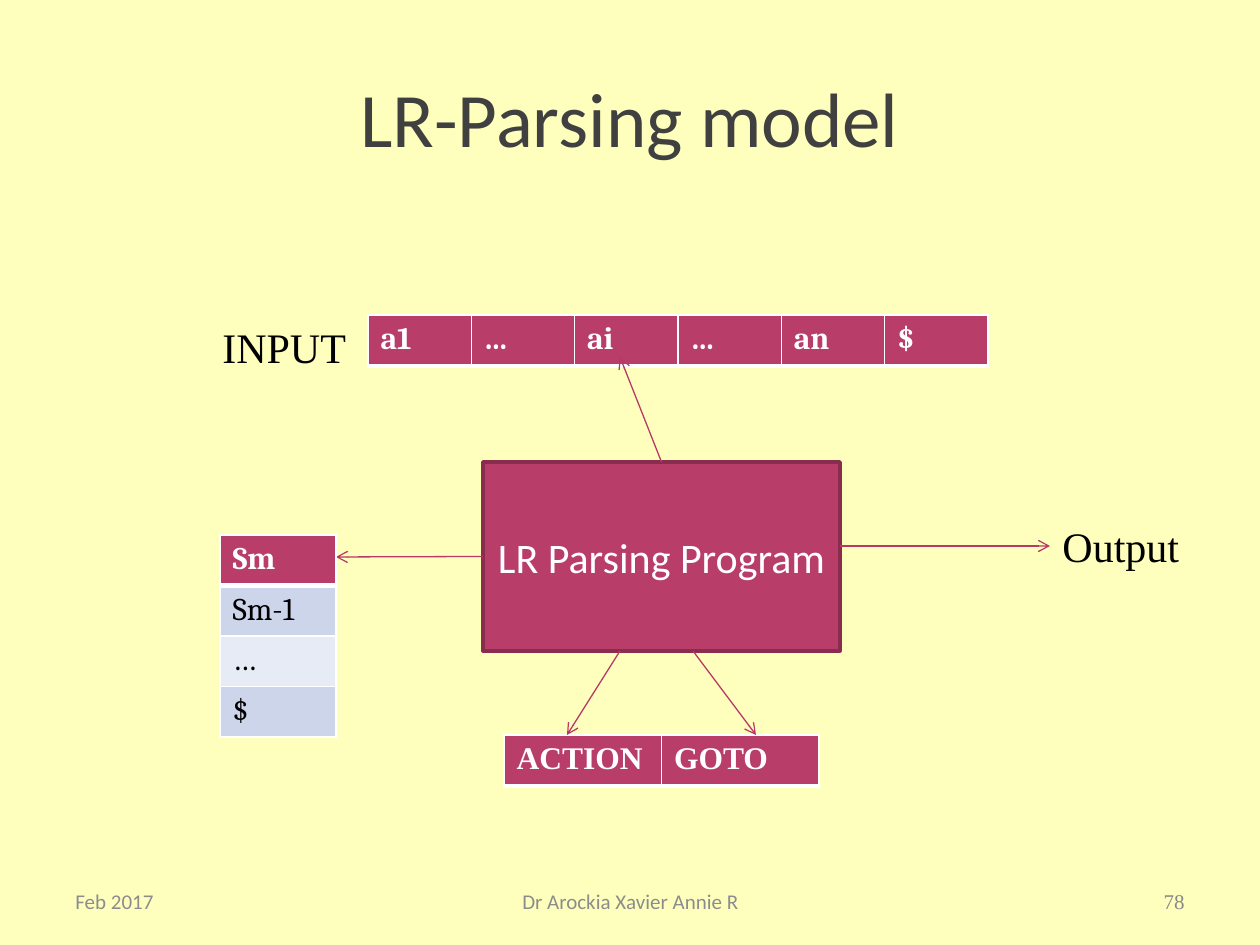
import pptx
import pptx.dml.color
import pptx.enum.shapes
import pptx.enum.text
import pptx.oxml
import pptx.oxml.ns
import pptx.util

RGB = pptx.dml.color.RGBColor
ALIGN = pptx.enum.text.PP_ALIGN
MIDDLE = pptx.enum.text.MSO_ANCHOR.MIDDLE
EMU_PER_PX = 914400 / 126

CREAM = RGB(0xFF, 0xFF, 0xBD)
TITLE_GRAY = RGB(0x40, 0x40, 0x40)
FOOTER_GRAY = RGB(0x8C, 0x8C, 0x8C)
NUMBER_GRAY = RGB(0x89, 0x89, 0x89)
BLACK = RGB(0, 0, 0)
WHITE = RGB(0xFF, 0xFF, 0xFF)
BERRY = RGB(0xB8, 0x3D, 0x68)
BERRY_DARK = RGB(0x88, 0x2D, 0x4D)
BERRY_LINE = RGB(0xB7, 0x39, 0x65)
BAND_DARK = RGB(0xCC, 0xD5, 0xEA)
BAND_LIGHT = RGB(0xE7, 0xEB, 0xF5)


def px(*values):
    """Turn pixel lengths into EMU."""
    return [pptx.util.Emu(round(v * EMU_PER_PX)) for v in values]


def write(tf, text, size, font, color, align=ALIGN.LEFT, bold=False):
    """Write one formatted paragraph into a text frame."""
    p = tf.paragraphs[0]
    p.text = text
    p.alignment = align
    r = p.runs[0]
    r.font.size = pptx.util.Pt(size)
    r.font.name = font
    r.font.bold = bold
    r.font.color.rgb = color


def add_text(s, box, text, size, font, color, align=ALIGN.LEFT, wrap=True):
    """Add a text box, anchored in the middle when it wraps."""
    tf = s.shapes.add_textbox(*px(*box)).text_frame
    tf.word_wrap = wrap
    if wrap:
        tf.vertical_anchor = MIDDLE
    else:
        tf.auto_size = pptx.enum.text.MSO_AUTO_SIZE.SHAPE_TO_FIT_TEXT
    write(tf, text, size, font, color, align)


def add_program(s, box, text):
    """Add the central program rectangle."""
    sp = s.shapes.add_shape(pptx.enum.shapes.MSO_SHAPE.RECTANGLE, *px(*box))
    sp.shadow.inherit = False
    sp.fill.solid()
    sp.fill.fore_color.rgb = BERRY
    sp.line.color.rgb = BERRY_DARK
    sp.line.width = pptx.util.Pt(2)
    sp.text_frame.word_wrap = True
    sp.text_frame.vertical_anchor = MIDDLE
    write(sp.text_frame, text, 24, "Calibri", WHITE, ALIGN.CENTER)
    return sp


def set_borders(cell, top, bottom):
    """Give a cell white borders, with top and bottom widths in points."""
    tc_pr = cell._tc.get_or_add_tcPr()
    widths = {"lnL": 1, "lnR": 1, "lnT": top, "lnB": bottom}
    for i, (tag, width) in enumerate(widths.items()):
        tc_pr.insert(i, pptx.oxml.parse_xml(
            f'<a:{tag} {pptx.oxml.ns.nsdecls("a")} w="{width * 12700}">'
            f'<a:solidFill><a:srgbClr val="{WHITE}"/></a:solidFill></a:{tag}>'))


def add_cells(s, box, rows, font):
    """Add a table with a header row and banded body rows."""
    shape = s.shapes.add_table(len(rows), len(rows[0]), *px(*box))
    for i, row in enumerate(rows):
        header = i == 0
        fill = BERRY if header else BAND_DARK if i % 2 else BAND_LIGHT
        for j, text in enumerate(row):
            cell = shape.table.cell(i, j)
            cell.fill.solid()
            cell.fill.fore_color.rgb = fill
            set_borders(cell, 3 if i == 1 else 1, 3 if header else 1)
            write(cell.text_frame, text, 18, font,
                  WHITE if header else BLACK, bold=header)


def add_arrow(s, start, end, source=None, site=0):
    """Add an arrow, joined to a connection site of its source if given."""
    c = s.shapes.add_connector(pptx.enum.shapes.MSO_CONNECTOR.STRAIGHT,
                               *px(*start, *end))
    if source is not None:
        c.begin_connect(source, site)
    c.line.color.rgb = BERRY_LINE
    c.line.width = pptx.util.Pt(0.75)
    ns = pptx.oxml.ns.nsdecls("a")
    c.line._get_or_add_ln().append(
        pptx.oxml.parse_xml(f'<a:tailEnd {ns} type="arrow"/>'))
    c._element.spPr.append(pptx.oxml.parse_xml(f"<a:effectLst {ns}/>"))


def main():
    """Build the LR parsing model slide."""
    prs = pptx.Presentation()
    prs.slide_width, prs.slide_height = px(1260, 945)
    s = prs.slides.add_slide(prs.slide_layouts[6])
    s.background.fill.solid()
    s.background.fill.fore_color.rgb = CREAM

    add_text(s, (63, 38, 1134, 157), "LR-Parsing model", 44, "Calibri",
             TITLE_GRAY, ALIGN.CENTER)
    add_text(s, (63, 876, 294, 50), "Feb 2017", 12, "Calibri", FOOTER_GRAY)
    add_text(s, (431, 876, 399, 50), "Dr Arockia Xavier Annie R", 12,
             "Calibri", FOOTER_GRAY, ALIGN.CENTER)
    add_text(s, (903, 876, 294, 50), "78", 12, "Times New Roman",
             NUMBER_GRAY, ALIGN.RIGHT)

    add_cells(s, (368, 315, 620, 51), [["a1", "…", "ai", "…", "an", "$"]],
              "Cambria")
    add_text(s, (210, 315, 150, 64), "INPUT", 24, "Times New Roman", BLACK,
             wrap=False)
    program = add_program(s, (483, 462, 357, 189), "LR Parsing Program")
    add_arrow(s, (483, 557), (336, 557), program, 1)
    add_cells(s, (220, 535, 116, 202), [["Sm"], ["Sm-1"], ["…"], ["$"]],
              "Cambria")
    add_cells(s, (504, 735, 315, 51), [["ACTION", "GOTO"]], "Times New Roman")
    add_arrow(s, (840, 546), (1050, 546))
    add_arrow(s, (662, 462), (620, 357), program, 0)
    add_text(s, (1050, 514, 144, 64), "Output", 24, "Times New Roman", BLACK,
             wrap=False)
    add_arrow(s, (620, 651), (567, 735))
    add_arrow(s, (693, 651), (756, 735))

    prs.save("out.pptx")


if __name__ == "__main__":
    main()
